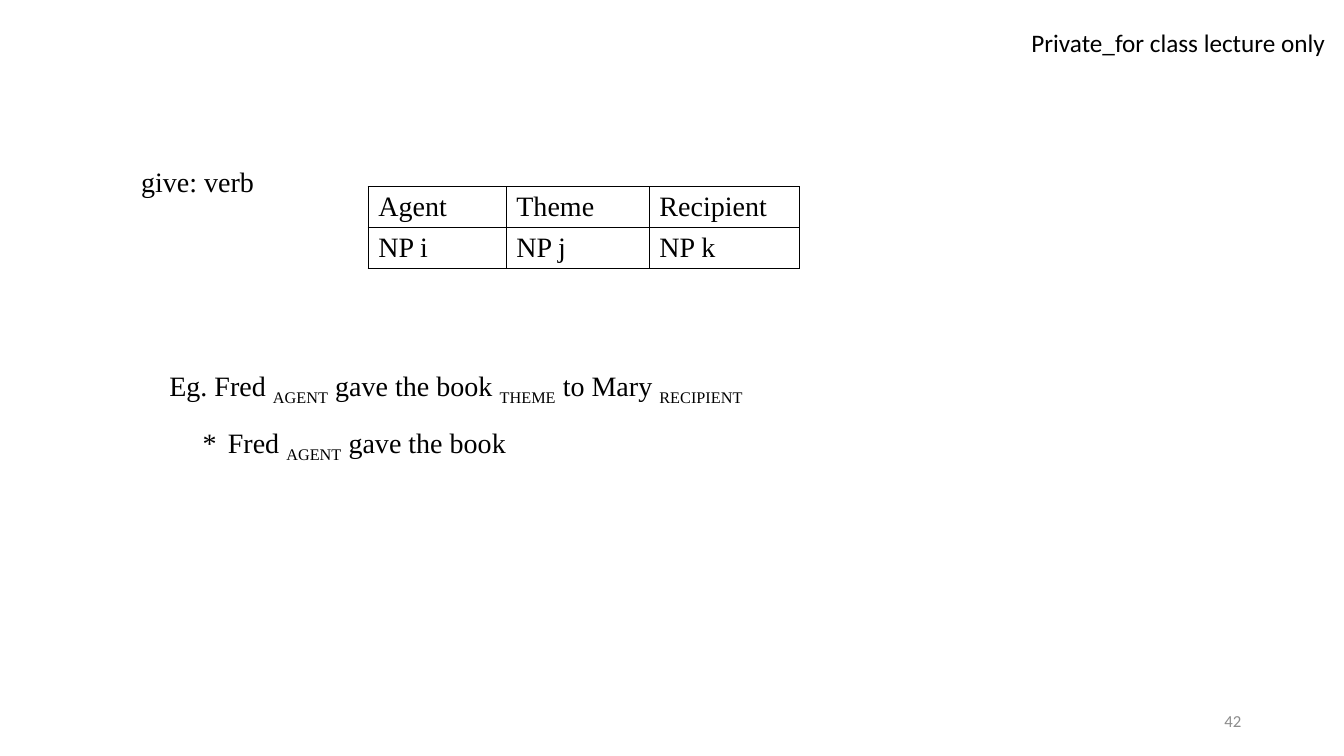
from lxml.etree import SubElement
from pptx import Presentation
from pptx.dml.color import RGBColor
from pptx.enum.text import MSO_ANCHOR, PP_ALIGN
from pptx.oxml.ns import qn
from pptx.util import Inches, Pt

COLORS = {"text": "000000", "border": "000000", "number": "8C8C8C"}
SERIF, SANS = "Times New Roman", "Calibri"
SLIDE_WIDTH, SLIDE_HEIGHT = Inches(13.33), Inches(7.5)

ROLES = [["Agent", "Theme", "Recipient"], ["NP i", "NP j", "NP k"]]
COLUMN_WEIGHTS = [1.37, 1.42, 1.49]

# Left margin and first-line indent (inches), space before (points), (text, is subscript) runs
EXAMPLES = [
    (0.28, 0, 0, [("give: verb", False)]),
    (0.56, 0, 108, [("Eg. Fred ", False), ("AGENT", True), (" gave the book ", False),
                    ("THEME", True), (" to Mary ", False), ("RECIPIENT", True)]),
    (1.14, -0.25, 0, [("*\tFred ", False), ("AGENT", True), (" gave the book", False)]),
]


def percent_box(left, top, width, height):
    """Turn percentages of the slide's size into lengths."""
    return (int(SLIDE_WIDTH * left / 100), int(SLIDE_HEIGHT * top / 100),
            int(SLIDE_WIDTH * width / 100), int(SLIDE_HEIGHT * height / 100))


def format_run(run, font_name, size, color):
    run.font.name = font_name
    run.font.size = Pt(size)
    run.font.color.rgb = RGBColor.from_string(COLORS[color])


def add_label(slide, box, text, size, color, wrap):
    text_frame = slide.shapes.add_textbox(*box).text_frame
    text_frame.word_wrap = wrap
    text_frame.vertical_anchor = MSO_ANCHOR.MIDDLE
    text_frame.text = text
    paragraph = text_frame.paragraphs[0]
    paragraph.alignment = PP_ALIGN.RIGHT
    format_run(paragraph.runs[0], SANS, size, color)


def fill_examples(placeholder, box):
    placeholder.left, placeholder.top, placeholder.width, placeholder.height = box
    text_frame = placeholder.text_frame
    text_frame.vertical_anchor = MSO_ANCHOR.TOP
    for index, (margin, indent, space, pieces) in enumerate(EXAMPLES):
        paragraph = text_frame.add_paragraph() if index else text_frame.paragraphs[0]
        paragraph.alignment = PP_ALIGN.LEFT
        paragraph.line_spacing = 1.5
        paragraph.space_before = Pt(space)
        properties = paragraph._p.get_or_add_pPr()
        properties.set("marL", str(Inches(margin)))
        properties.set("indent", str(Inches(indent)))
        for text, is_subscript in pieces:
            run = paragraph.add_run()
            run.text = text
            format_run(run, SERIF, 20, "text")
            if is_subscript:
                run.font._element.set("baseline", "-25000")


def draw_borders(cell):
    properties = cell._tc.get_or_add_tcPr()
    for position, side in enumerate(("a:lnL", "a:lnR", "a:lnT", "a:lnB")):
        line = SubElement(properties, qn(side), w=str(Pt(1)))
        fill = SubElement(line, qn("a:solidFill"))
        SubElement(fill, qn("a:srgbClr"), val=COLORS["border"])
        properties.insert(position, line)


def add_role_table(slide, box):
    table = slide.shapes.add_table(len(ROLES), len(ROLES[0]), *box).table
    table.first_row = table.horz_banding = False
    for column, weight in zip(table.columns, COLUMN_WEIGHTS):
        column.width = int(box[2] * weight / sum(COLUMN_WEIGHTS))
    for row_index, row in enumerate(ROLES):
        for column_index, text in enumerate(row):
            cell = table.cell(row_index, column_index)
            cell.text = text
            cell.margin_bottom = Inches(0.02)
            cell.fill.background()
            format_run(cell.text_frame.paragraphs[0].runs[0], SERIF, 20, "text")
            draw_borders(cell)


def build_argument_slide(presentation):
    slide = presentation.slides.add_slide(presentation.slide_layouts[0])
    title, subtitle = slide.placeholders
    title.element.getparent().remove(title.element)
    add_label(slide, percent_box(75.7, 2.93, 23.63, 5.33),
              "Private_for class lecture only", 18, "text", False)
    fill_examples(subtitle, percent_box(7.65, 18.9, 92.35, 73.3))
    add_label(slide, percent_box(70.6, 92.67, 22.5, 5.33), "42", 12, "number", True)
    add_role_table(slide, percent_box(27.4, 24.7, 32.1, 10.85))


def main():
    presentation = Presentation()
    presentation.slide_width, presentation.slide_height = SLIDE_WIDTH, SLIDE_HEIGHT
    build_argument_slide(presentation)
    presentation.save("out.pptx")


if __name__ == "__main__":
    main()
